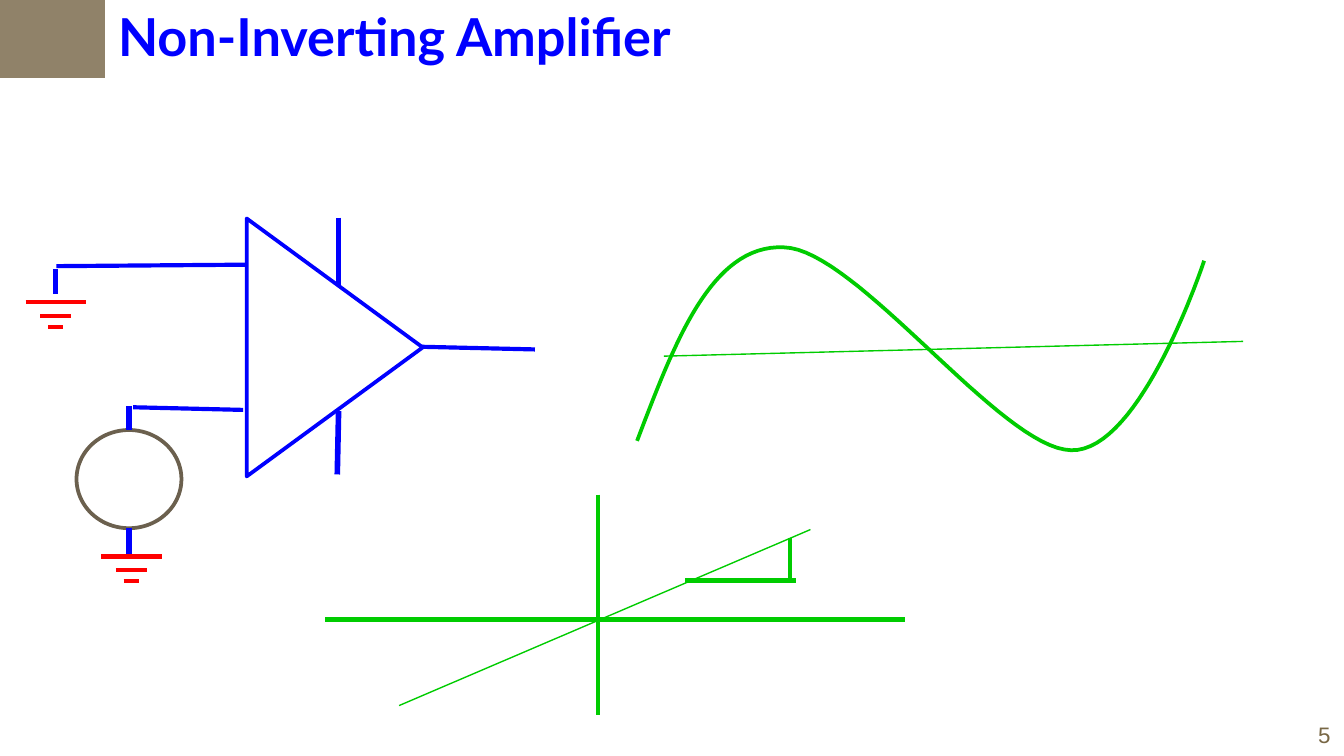
"""Builds the non-inverting amplifier slide."""
from lxml.etree import SubElement
from pptx import Presentation
from pptx.dml.color import RGBColor
from pptx.enum.shapes import MSO_CONNECTOR as CONN, MSO_SHAPE as SHAPE
from pptx.enum.text import MSO_AUTO_SIZE as AUTO
from pptx.oxml.ns import qn
from pptx.util import Pt

BLUE, GREEN, RED = "0000FF", "00CC00", "FF0000"
TAUPE, BROWN, GREY_BROWN = "908269", "6B604E", "786745"


def rgb(color):
    """Turn a hex string into a colour."""
    return RGBColor.from_string(color)


def style(sp, fill=None, line=None, width=2):
    """Set the fill and outline of a shape and remove its shadow."""
    sp.shadow.inherit = False
    if fill:
        sp.fill.solid()
        sp.fill.fore_color.rgb = rgb(fill)
    else:
        sp.fill.background()
    if line:
        sp.line.color.rgb = rgb(line)
        sp.line.width = Pt(width)
    else:
        sp.line.fill.background()


def add_shape(s, kind, box, fill=None, line=None, rotation=0):
    """Add a preset shape."""
    sp = s.shapes.add_shape(kind, *map(Pt, box))
    sp.rotation = rotation
    style(sp, fill, line)


def add_line(s, x1, y1, x2, y2, color, width):
    """Add a straight line without a shadow."""
    cx = s.shapes.add_connector(CONN.STRAIGHT, *map(Pt, (x1, y1, x2, y2)))
    cx.line.color.rgb = rgb(color)
    cx.line.width = Pt(width)
    SubElement(cx._element.spPr, qn("a:effectLst"))


def add_text(s, box, text, font, size, color, bold=False):
    """Add a one-line text box."""
    tb = s.shapes.add_textbox(*map(Pt, box))
    tf = tb.text_frame
    tf.word_wrap = False
    tf.auto_size = AUTO.SHAPE_TO_FIT_TEXT
    r = tf.paragraphs[0].add_run()
    r.text = text
    r.font.name, r.font.size, r.font.bold = font, Pt(size), bold
    r.font.color.rgb = rgb(color)


def add_ground(s, x, y):
    """Add a ground symbol of three shrinking bars centred on x."""
    for dy, half in ((0, 16.2), (7.2, 8.3), (13, 4.1)):
        add_line(s, x - half, y + dy, x + half, y + dy, RED, 2.25)


def bezier(p0, p1, p2, p3, steps=32):
    """Return points along a cubic curve, leaving out its start."""
    points = []
    for i in range(1, steps + 1):
        t = i / steps
        u = 1 - t
        points.append(tuple(
            Pt(u**3 * a + 3 * u * u * t * b + 3 * u * t * t * c + t**3 * d)
            for a, b, c, d in zip(p0, p1, p2, p3)))
    return points


def add_curve(s, start, segments, color):
    """Add an open smooth curve made of cubic segments."""
    builder = s.shapes.build_freeform(Pt(start[0]), Pt(start[1]))
    for segment in segments:
        builder.add_line_segments(bezier(start, *segment), close=False)
        start = segment[-1]
    style(builder.convert_to_shape(), line=color)


def add_amplifier(s):
    """Draw the amplifier triangle with its leads."""
    add_shape(s, SHAPE.ISOSCELES_TRIANGLE, (110.2, 139, 138.2, 94.3), line=BLUE, rotation=90)
    add_line(s, 226.1, 185.8, 286.6, 187.2, BLUE, 2.25)
    add_line(s, 181.4, 116.6, 181.4, 153.4, BLUE, 3)
    add_line(s, 181.4, 220.3, 180.7, 254.2, BLUE, 3)
    add_line(s, 30.2, 142.6, 132.5, 141.8, BLUE, 2.25)
    add_line(s, 71.3, 218.2, 130.3, 219.6, BLUE, 2.25)


def add_sources(s):
    """Draw the signal source and the two grounds."""
    add_shape(s, SHAPE.OVAL, (41, 230.4, 56.2, 52.6), line=BROWN)
    for x, top, bottom in ((69.1, 217.4, 230.4), (69.1, 283, 296.6), (29.7, 144, 157.7)):
        add_line(s, x, top, x, bottom, BLUE, 3)
    add_ground(s, 70.4, 298.1)
    add_ground(s, 29.9, 162)


def add_wave(s):
    """Draw the sine wave and its centre line."""
    add_curve(s, (341.3, 236.2), (
        ((361.4, 183.6), (380.9, 131), (419.8, 132.5)),
        ((458.6, 133.2), (536.4, 240.5), (573.8, 241.2)),
        ((611.3, 242.6), (645.1, 139.7), (645.1, 139.7))), GREEN)
    add_line(s, 666, 182.9, 355.7, 190.8, GREEN, 0.75)


def add_gain_plot(s):
    """Draw the axes, the gain line and its slope marker."""
    add_line(s, 320.4, 265, 320.4, 383, GREEN, 2.25)
    add_line(s, 174.2, 331.9, 484.6, 331.9, GREEN, 2.25)
    add_line(s, 434.2, 283.7, 213.8, 378, GREEN, 0.75)
    add_line(s, 423.4, 288, 423.4, 311, GREEN, 2.25)
    add_line(s, 367.2, 311, 426.2, 311, GREEN, 2.25)


def main():
    """Build and save the slide."""
    prs = Presentation()
    prs.slide_width, prs.slide_height = Pt(720), Pt(405)
    s = prs.slides.add_slide(prs.slide_layouts[6])
    add_text(s, (699.1, 383, 20.9, 21.6), "5", "Arial", 12, GREY_BROWN)
    add_text(s, (56.2, -1.4, 340.6, 41), "Non-Inverting Amplifier", "Lato", 28, BLUE, True)
    add_shape(s, SHAPE.RECTANGLE, (0, -1.4, 56.2, 43.2), fill=TAUPE)
    add_amplifier(s)
    add_wave(s)
    add_sources(s)
    add_gain_plot(s)
    prs.save("out.pptx")


if __name__ == "__main__":
    main()
